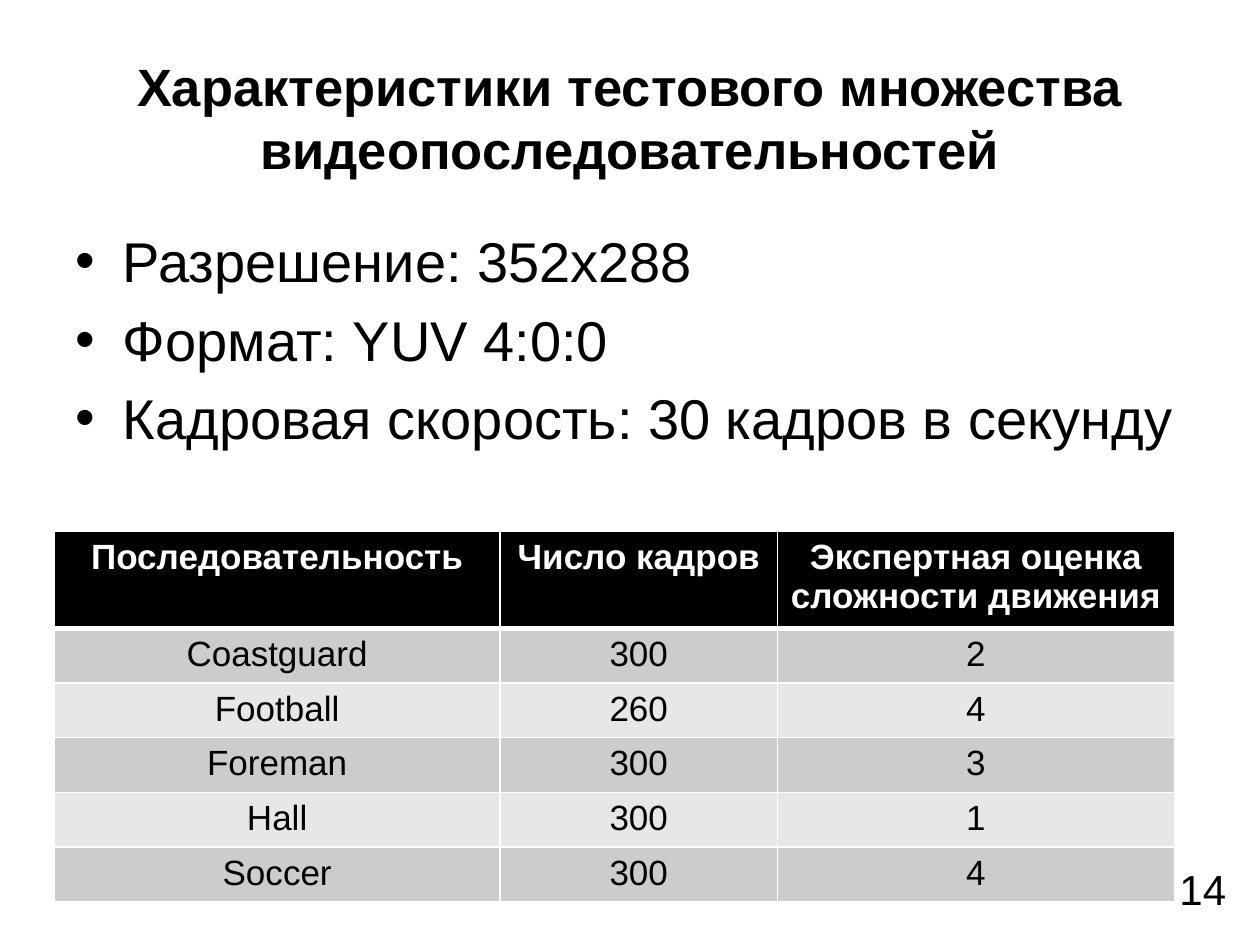
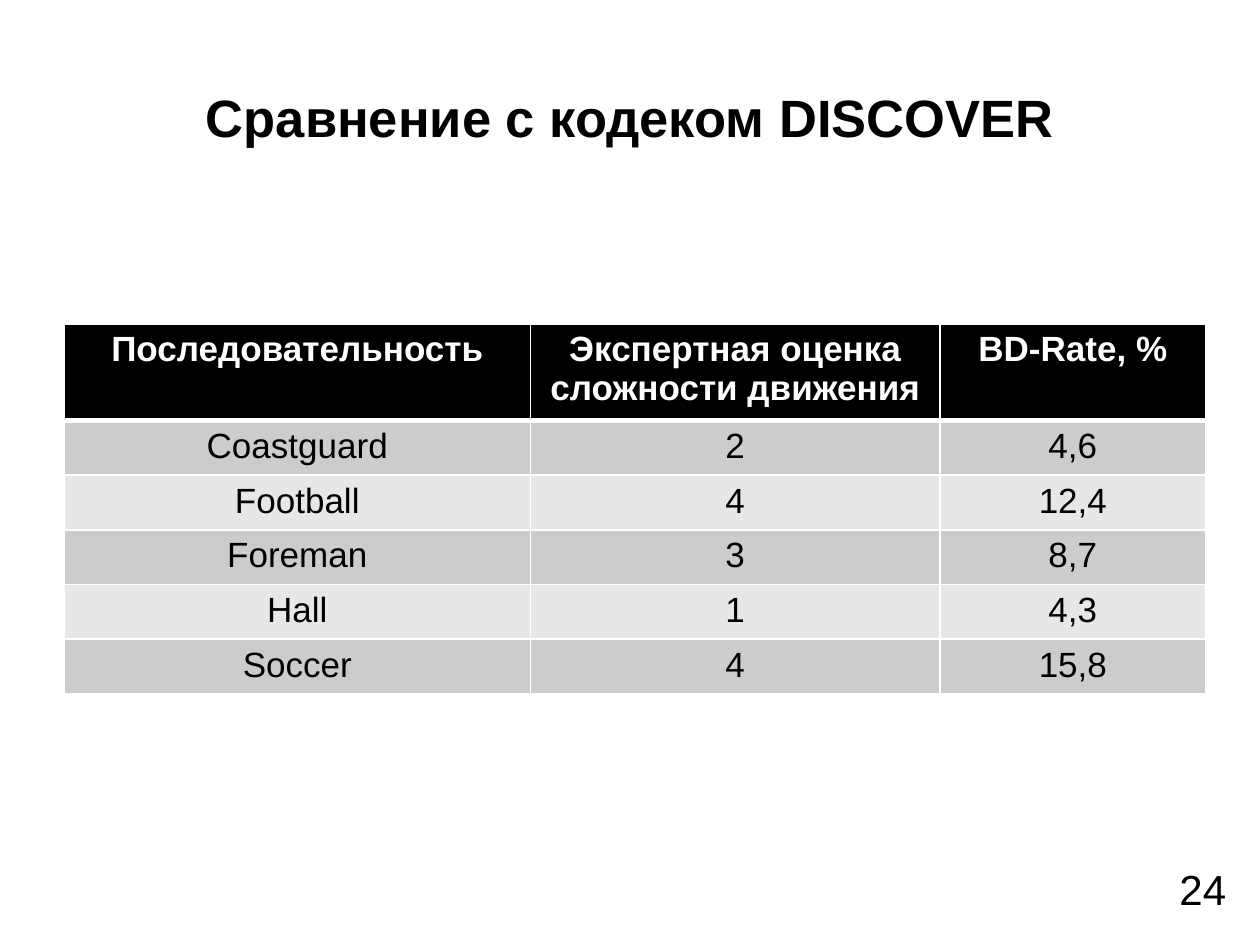
from lxml import etree
from pptx import Presentation, util as u
from pptx.dml.color import RGBColor
from pptx.enum import text
from pptx.oxml import ns

COLS, ROWS = 100, 75
TITLE_ONLY, TITLE_AND_BODY = 5, 1
SEQUENCES = ["Coastguard", "Football", "Foreman", "Hall", "Soccer"]
MOTION_SCORES = ["2", "4", "3", "1", "4"]
SEQUENCE_HEAD = "Последовательность"
MOTION_HEAD = "Экспертная оценка сложности движения"


def color(value):
    return RGBColor.from_string(value)


def write(p, words, size, ink="000000", bold=False, font="Arial", align=None):
    """Put one formatted run into a paragraph."""
    p.alignment = align
    r = p.add_run()
    r.text = words
    r.font.name, r.font.size, r.font.bold = font, u.Pt(size), bold
    r.font.color.rgb = color(ink)


def border(cell, side, width, ink="FFFFFF"):
    """Draw one side (L, R, T or B) of a table cell."""
    ln = etree.SubElement(cell._tc.get_or_add_tcPr(), ns.qn(f"a:ln{side}"),
                          w=str(u.Pt(width)))
    fill = etree.SubElement(ln, ns.qn("a:solidFill"))
    etree.SubElement(fill, ns.qn("a:srgbClr"), val=ink)


class Deck:
    head_fill, bands = "000000", ("CCCCCC", "E7E7E7")
    title_size, list_size, number_size, table_size = 30, 32, 24, 20
    row_height = 4.1
    center, right = text.PP_ALIGN.CENTER, text.PP_ALIGN.RIGHT

    def __init__(self):
        self.prs = Presentation()
        self.prs.slide_width, self.prs.slide_height = u.Inches(10), u.Inches(7.5)
        self.s = None

    def x(self, cols):
        return round(self.prs.slide_width * cols / COLS)

    def y(self, rows):
        return round(self.prs.slide_height * rows / ROWS)

    def box(self, left, top, width, height):
        return self.x(left), self.y(top), self.x(width), self.y(height)

    def place(self, sp, *area):
        sp.left, sp.top, sp.width, sp.height = self.box(*area)

    def slide(self, title, layout):
        self.s = self.prs.slides.add_slide(self.prs.slide_layouts[layout])
        sp = self.s.shapes.title
        self.place(sp, 5, 3, 90, 12.5)
        tf = sp.text_frame
        tf.vertical_anchor = text.MSO_ANCHOR.MIDDLE
        write(tf.paragraphs[0], title, self.title_size, bold=True, align=self.center)

    def bullets(self, items):
        sp = self.s.placeholders[1]
        self.place(sp, 5, 17.5, 90, 49.5)
        tf = sp.text_frame
        for i, item in enumerate(items):
            p = tf.add_paragraph() if i else tf.paragraphs[0]
            write(p, item, self.list_size)

    def number(self, value):
        tf = self.s.shapes.add_textbox(*self.box(75, 68, 23.3, 5.2)).text_frame
        tf.word_wrap = True
        write(tf.paragraphs[0], value, self.number_size, align=self.right)

    def table(self, left, top, widths, columns):
        """Each column is its heading followed by its values."""
        rows = list(zip(*columns))
        area = self.box(left, top, sum(widths), self.row_height * len(rows))
        table = self.s.shapes.add_table(len(rows), len(widths), *area).table
        for column, width in zip(table.columns, widths):
            column.width = self.x(width)
        for i, row in enumerate(rows):
            table.rows[i].height = self.y(self.row_height)
            for j, words in enumerate(row):
                self.cell(table.cell(i, j), words, i)

    def cell(self, cell, words, row):
        head = row == 0
        for side in "LRTB":
            under_head = (row, side) in [(0, "B"), (1, "T")]
            border(cell, side, 3 if under_head else 1)
        cell.fill.solid()
        cell.fill.fore_color.rgb = color(self.head_fill if head else self.bands[(row - 1) % 2])
        write(cell.text_frame.paragraphs[0], words, self.table_size,
              ink="FFFFFF" if head else "000000", bold=head, align=self.center)


def main():
    deck = Deck()
    sequences = [SEQUENCE_HEAD, *SEQUENCES]
    motion = [MOTION_HEAD, *MOTION_SCORES]

    # Test set
    deck.slide("Характеристики тестового множества видеопоследовательностей",
               TITLE_AND_BODY)
    deck.bullets(["Разрешение: 352x288", "Формат: YUV 4:0:0",
                  "Кадровая скорость: 30 кадров в секунду"])
    deck.number("14")
    frames = ["Число кадров", "300", "260", "300", "300", "300"]
    deck.table(4.3, 42.2, [35.4, 22, 31.5], [sequences, frames, motion])

    # Codec comparison
    deck.slide("Сравнение с кодеком DISCOVER", TITLE_ONLY)
    deck.number("24")
    rates = ["BD-Rate, %", "4,6", "12,4", "8,7", "4,3", "15,8"]
    deck.table(5.1, 25.7, [37, 32.5, 21.1], [sequences, motion, rates])

    deck.prs.save("out.pptx")


if __name__ == "__main__":
    main()
